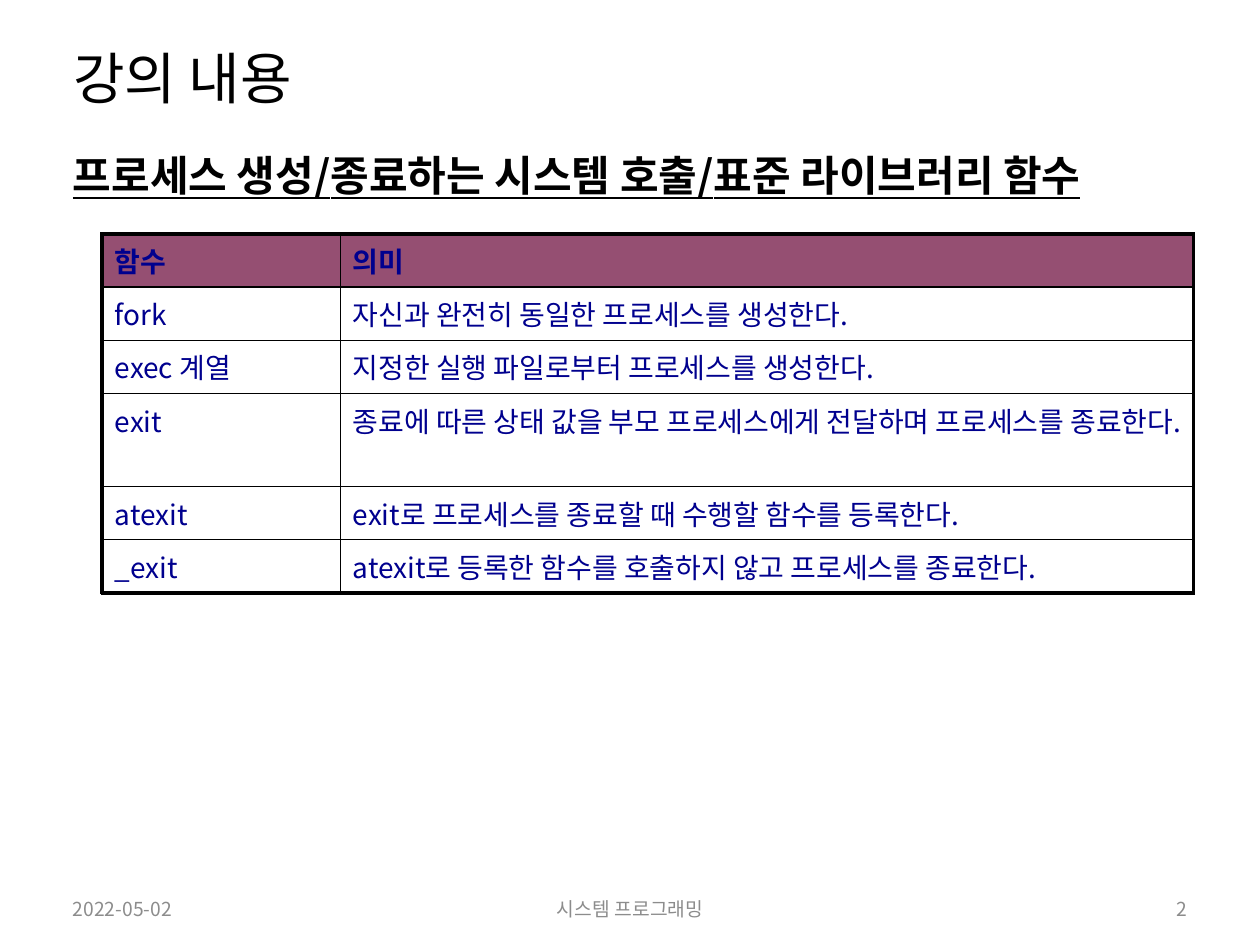
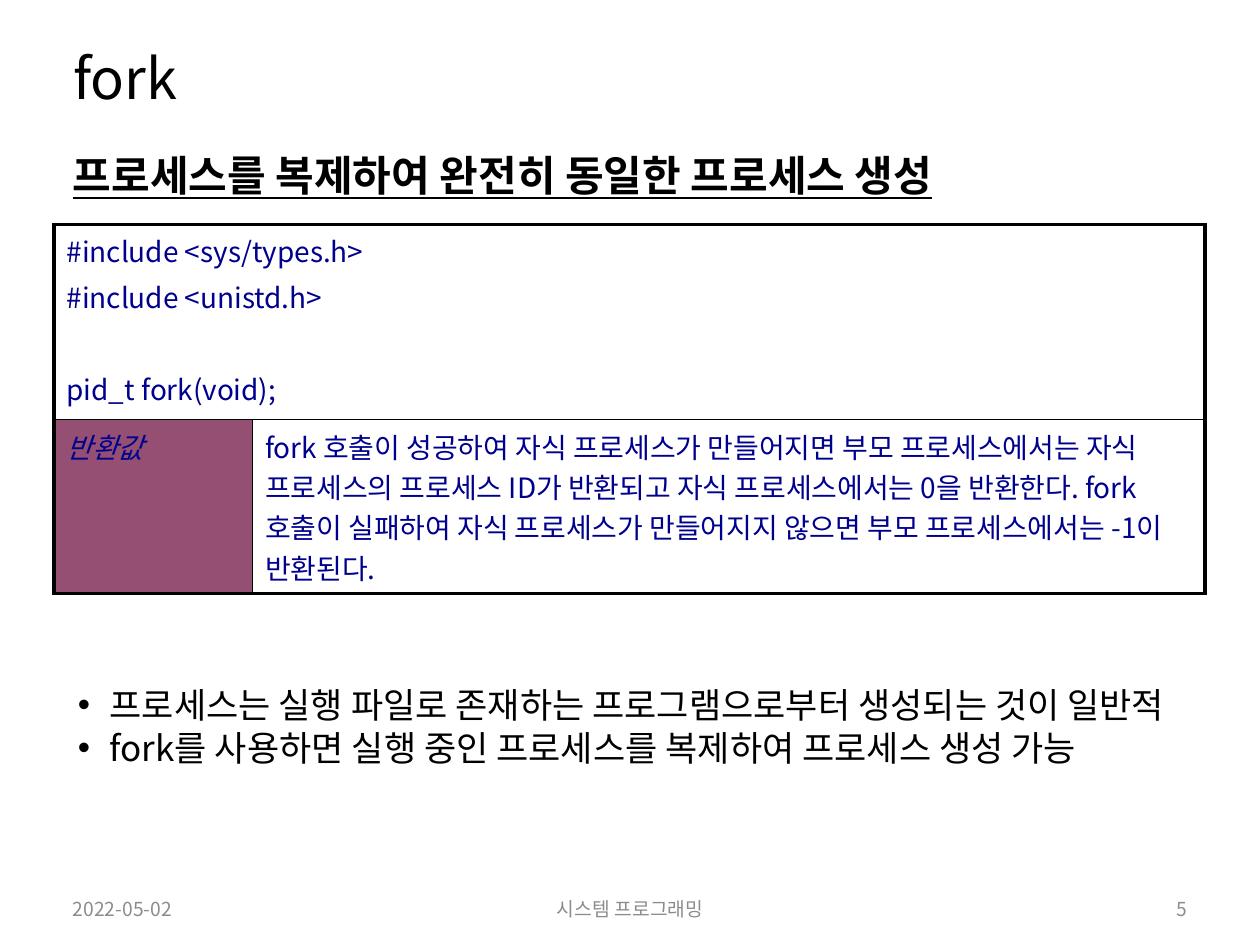
import pptx
import pptx.util
import pptx.dml.color
import pptx.enum.text
import pptx.oxml
import pptx.oxml.ns

Cm, Pt = pptx.util.Cm, pptx.util.Pt
ALIGN = pptx.enum.text.PP_ALIGN
ANCHOR = pptx.enum.text.MSO_ANCHOR

FONT = "Noto Sans CJK KR"
BLACK, GRAY, NAVY, PLUM = "000000", "8C8C8C", "00008E", "954F72"
THICK, THIN = 2.25, 1
EDGE, WIDE = 1.22, 23.01
DATE, COURSE = "2022-05-02", "시스템 프로그래밍"

LESSON = {
    "title": "강의 내용",
    "head": "프로세스 생성/종료하는 시스템 호출/표준 라이브러리 함수",
    "page": "2",
    "spot": (2.06, 4.72),
    "cols": (4.8, 17.2),
    "rows": (1.07, 1.07, 1.07, 1.88, 1.07, 1.07),
    "cells": [
        ("함수", "의미"),
        ("fork", "자신과 완전히 동일한 프로세스를 생성한다."),
        ("exec 계열", "지정한 실행 파일로부터 프로세스를 생성한다."),
        ("exit", "종료에 따른 상태 값을 부모 프로세스에게 전달하며 프로세스를 종료한다."),
        ("atexit", "exit로 프로세스를 종료할 때 수행할 함수를 등록한다."),
        ("_exit", "atexit로 등록한 함수를 호출하지 않고 프로세스를 종료한다."),
    ],
    "marked": {(0, 0): {"bold": True}, (0, 1): {"bold": True}},
    "points": [],
}
FORK = {
    "title": "fork",
    "head": "프로세스를 복제하여 완전히 동일한 프로세스 생성",
    "page": "5",
    "spot": (1.09, 4.52),
    "cols": (4, 19.2),
    "rows": (3.94, 3.51),
    "cells": [
        ([("#include <sys/types.h>", 0), ("#include <unistd.h>", 3.2),
          ("pid_t fork(void);", 29.6)], None),
        ("반환값", "fork 호출이 성공하여 자식 프로세스가 만들어지면 부모 프로세스에서는 "
         "자식 프로세스의 프로세스 ID가 반환되고 자식 프로세스에서는 0을 반환한다. "
         "fork 호출이 실패하여 자식 프로세스가 만들어지지 않으면 "
         "부모 프로세스에서는 -1이 반환된다."),
    ],
    "marked": {(1, 0): {"italic": True}},
    "points": [
        "프로세스는 실행 파일로 존재하는 프로그램으로부터 생성되는 것이 일반적",
        "fork를 사용하면 실행 중인 프로세스를 복제하여 프로세스 생성 가능",
    ],
}


def tint(code):
    return pptx.dml.color.RGBColor.from_string(code)


def node(parent, tag, **attrs):
    item = pptx.oxml.parse_xml(f'<a:{tag} {pptx.oxml.ns.nsdecls("a")}/>')
    for key, val in attrs.items():
        item.set(key, str(val))
    parent.append(item)
    return item


def write(frame, lines, size=16, color=NAVY, bold=False, italic=False,
          under=False, align=ALIGN.LEFT, pitch=1.0, gap=0, bullet=False):
    if isinstance(lines, str):
        lines = [lines]
    frame.word_wrap = True
    for num, line in enumerate(lines):
        text, above = line if isinstance(line, tuple) else (line, gap)
        para = frame.paragraphs[0] if num == 0 else frame.add_paragraph()
        para.alignment, para.line_spacing = align, pitch
        para.space_before = Pt(above)
        if bullet:
            props = para._p.get_or_add_pPr()
            props.set("marL", str(Cm(0.74)))
            props.set("indent", str(-Cm(0.64)))
            node(props, "buFont", typeface="Arial")
            node(props, "buChar", char="•")
        run = para.add_run()
        run.text = text
        font = run.font
        font.size, font.name = Pt(size), FONT
        font.bold, font.italic, font.underline = bold, italic, under
        font.color.rgb = tint(color)
        node(run._r.get_or_add_rPr(), "ea", typeface=FONT)


def place(slide, x, y, w, h, lines, anchor=ANCHOR.TOP, **style):
    box = slide.shapes.add_textbox(Cm(x), Cm(y), Cm(w), Cm(h))
    box.text_frame.vertical_anchor = anchor
    write(box.text_frame, lines, **style)


def border(cell, sides):
    props = cell._tc.get_or_add_tcPr()
    for side, width in sides.items():
        line = node(props, f"ln{side}", w=Pt(width))
        node(node(line, "solidFill"), "srgbClr", val=BLACK)


def grid(slide, data):
    cols, rows = data["cols"], data["rows"]
    x, y = data["spot"]
    table = slide.shapes.add_table(len(rows), len(cols), Cm(x), Cm(y),
                                   Cm(sum(cols)), Cm(sum(rows))).table
    table.first_row = table.horz_banding = False
    for col, width in zip(table.columns, cols):
        col.width = Cm(width)
    for row, height in zip(table.rows, rows):
        row.height = Cm(height)
    for r, line in enumerate(data["cells"]):
        if line[-1] is None:
            table.cell(r, 0).merge(table.cell(r, len(cols) - 1))
        for c, text in enumerate(line):
            cell = table.cell(r, c)
            outer = {"L": c == 0, "R": c == len(cols) - 1 or cell.is_merge_origin,
                     "T": r == 0, "B": r == len(rows) - 1}
            border(cell, {s: THICK if out else THIN for s, out in outer.items()})
            mark = data["marked"].get((r, c))
            if mark:
                cell.fill.solid()
                cell.fill.fore_color.rgb = tint(PLUM)
            else:
                cell.fill.background()
            if text:
                write(cell.text_frame, text, **(mark or {}))


def build(deck, data):
    slide = deck.slides.add_slide(deck.slide_layouts[5])
    title = slide.shapes.title
    title.left, title.top = Cm(EDGE), Cm(0.58)
    title.width, title.height = Cm(WIDE), Cm(2.11)
    title.text_frame.auto_size = pptx.enum.text.MSO_AUTO_SIZE.NONE
    title.text_frame.vertical_anchor = ANCHOR.MIDDLE
    write(title.text_frame, data["title"], size=32, color=BLACK, pitch=0.9)
    place(slide, EDGE, 3, WIDE, 1.4, data["head"], size=24, color=BLACK,
          bold=True, under=True, pitch=0.9)
    if data["points"]:
        place(slide, EDGE, 13.74, WIDE, 2.4, data["points"], size=20,
              color=BLACK, pitch=0.9, gap=3, bullet=True)
    for x, w, text, align in [(EDGE, 5.72, DATE, ALIGN.LEFT),
                              (8.41, 8.59, COURSE, ALIGN.CENTER),
                              (18.47, 5.72, data["page"], ALIGN.RIGHT)]:
        place(slide, x, 17.96, w, 0.71, text, anchor=ANCHOR.MIDDLE,
              size=11, color=GRAY, align=align)
    grid(slide, data)


def main():
    deck = pptx.Presentation()
    deck.slide_width, deck.slide_height = Cm(25.4), Cm(19.05)
    for data in (LESSON, FORK):
        build(deck, data)
    deck.save("out.pptx")


if __name__ == "__main__":
    main()
